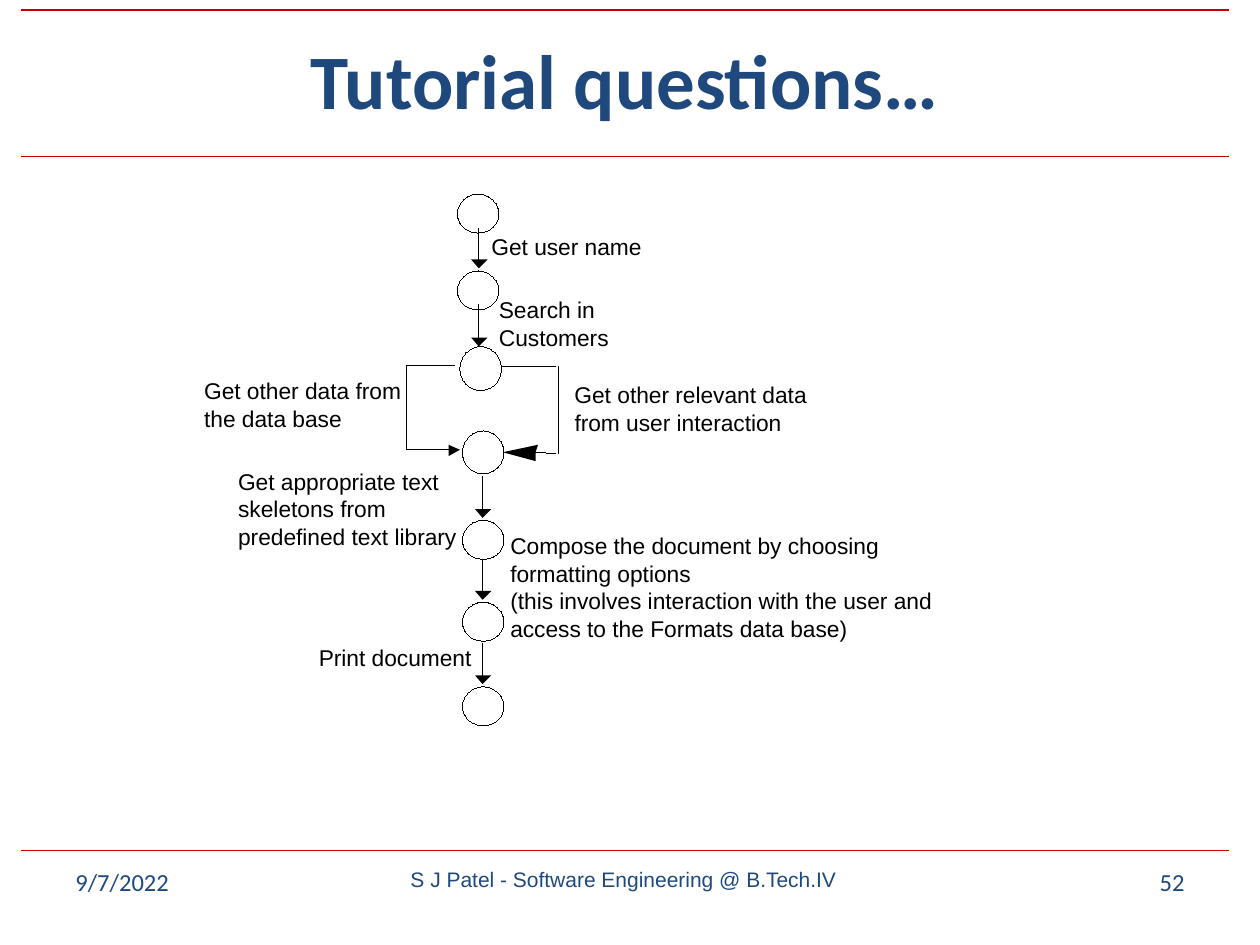
from lxml import etree
from pptx import Presentation
from pptx.dml.color import RGBColor
from pptx.enum.shapes import MSO_CONNECTOR, MSO_SHAPE
from pptx.enum.text import MSO_ANCHOR, PP_ALIGN
from pptx.oxml.ns import qn
from pptx.util import Inches, Pt

COLORS = {
    "rule": "C00000",
    "heading": "1F497D",
    "ink": "000000",
    "paper": "FFFFFF",
}
RGB = {name: RGBColor.from_string(value) for name, value in COLORS.items()}
HAIRLINE = Pt(0.01)  # a width of 0 is not written, so the theme width would show

presentation = Presentation()
presentation.slide_width, presentation.slide_height = Inches(10), Inches(7.5)
slide = presentation.slides.add_slide(presentation.slide_layouts[6])
shapes = slide.shapes


def add_line(x1, y1, x2, y2, color="ink", width=HAIRLINE):
    line = shapes.add_connector(
        MSO_CONNECTOR.STRAIGHT, Inches(x1), Inches(y1), Inches(x2), Inches(y2))
    line.line.color.rgb = RGB[color]
    line.line.width = width
    etree.SubElement(line._element.spPr, qn("a:effectLst"))


def add_text(text, left, top, width, height, size, font="Arial",
             color="heading", align=PP_ALIGN.LEFT):
    box = shapes.add_textbox(
        Inches(left), Inches(top), Inches(width), Inches(height))
    box.text_frame.word_wrap = True
    paragraph = box.text_frame.paragraphs[0]
    paragraph.text = text
    paragraph.alignment = align
    paragraph.font.size = Pt(size)
    paragraph.font.name = font
    paragraph.font.color.rgb = RGB[color]
    return box.text_frame


# Rules, title and footer
for y in (0.08, 1.24, 6.75):
    add_line(0.17, y, 9.75, y, "rule", Pt(0.75))

title = add_text("Tutorial questions…", 0.17, 0, 9.58, 1.25, 44, "Calibri",
                 align=PP_ALIGN.CENTER)
title.vertical_anchor = MSO_ANCHOR.MIDDLE
title.paragraphs[0].font.bold = True

add_text("9/7/2022", 0.5, 6.83, 2.33, 0.52, 14, "Calibri")
add_text("S J Patel - Software Engineering @ B.Tech.IV", 2.95, 6.83, 4, 0.52, 12,
         align=PP_ALIGN.CENTER)
add_text("52", 7.17, 6.83, 2.33, 0.52, 14, "Calibri", align=PP_ALIGN.RIGHT)

# State circles: left, top, height
circles = [
    (3.63, 1.54, 0.31), (3.63, 2.15, 0.31), (3.65, 2.75, 0.35),
    (3.67, 3.42, 0.34), (3.67, 4.13, 0.31), (3.67, 4.78, 0.31),
    (3.67, 5.45, 0.31),
]
for left, top, height in circles:
    circle = shapes.add_shape(
        MSO_SHAPE.OVAL, Inches(left), Inches(top), Inches(0.33), Inches(height))
    circle.shadow.inherit = False
    circle.fill.solid()
    circle.fill.fore_color.rgb = RGB["paper"]
    circle.line.color.rgb = RGB["ink"]
    circle.line.width = HAIRLINE

# Downward arrows, then the two side branches
arrowheads = [
    [(3.65, 3.57), (3.56, 3.62), (3.56, 3.53)],
    [(3.99, 3.59), (4.27, 3.53), (4.25, 3.59), (4.25, 3.66)],
]
for x, top, neck in [(3.8, 1.81, 2.06), (3.8, 2.42, 2.68), (3.83, 3.78, 4.04),
                     (3.83, 4.44, 4.69), (3.83, 5.11, 5.36)]:
    add_line(x, top, x, neck)
    arrowheads.append([(x, neck + 0.07), (x - 0.06, neck), (x + 0.07, neck)])

branches = [
    (3.61, 2.9, 3.23, 2.9), (3.23, 2.91, 3.23, 3.57), (3.23, 3.57, 3.56, 3.57),
    (3.99, 2.91, 4.41, 2.91), (4.43, 2.91, 4.43, 3.6), (4.41, 3.6, 4.25, 3.59),
]
for branch in branches:
    add_line(*branch)

for points in arrowheads:
    tip, *corners = [(Inches(x), Inches(y)) for x, y in points]
    builder = shapes.build_freeform(*tip)
    builder.add_line_segments(corners, close=True)
    arrowhead = builder.convert_to_shape()
    arrowhead.shadow.inherit = False
    arrowhead.fill.solid()
    arrowhead.fill.fore_color.rgb = RGB["ink"]
    arrowhead.line.fill.background()

# Transition labels: left, top of first line, (line, width) pairs
LINE_PITCH = 0.22
labels = [
    (3.9, 1.85, [("Get user name", 1.32)]),
    (3.96, 2.35, [("Search in", 0.94), ("Customers", 1)]),
    (1.62, 2.99, [("Get other data from", 1.85), ("the data base", 1.23)]),
    (4.56, 3.02, [("Get other relevant data", 2.1),
                  ("from user interaction", 1.81)]),
    (1.89, 3.71, [("Get appropriate text", 1.83), ("skeletons from", 1.32),
                  ("predefined text library", 1.94)]),
    (4.05, 4.22, [("Compose the document by choosing", 3.23),
                  ("formatting options", 1.67),
                  ("(this involves interaction with the user and", 3.68),
                  ("access to the Formats data base)", 2.83)]),
    (2.53, 5.11, [("Print document", 1.38)]),
]
for left, top, lines in labels:
    for row, (text, width) in enumerate(lines):
        frame = add_text(text, left, top + row * LINE_PITCH, width, 0.29, 13,
                         color="ink")
        frame.word_wrap = False
        frame.margin_left = frame.margin_right = 0
        frame.margin_top = frame.margin_bottom = 0

presentation.save("out.pptx")
